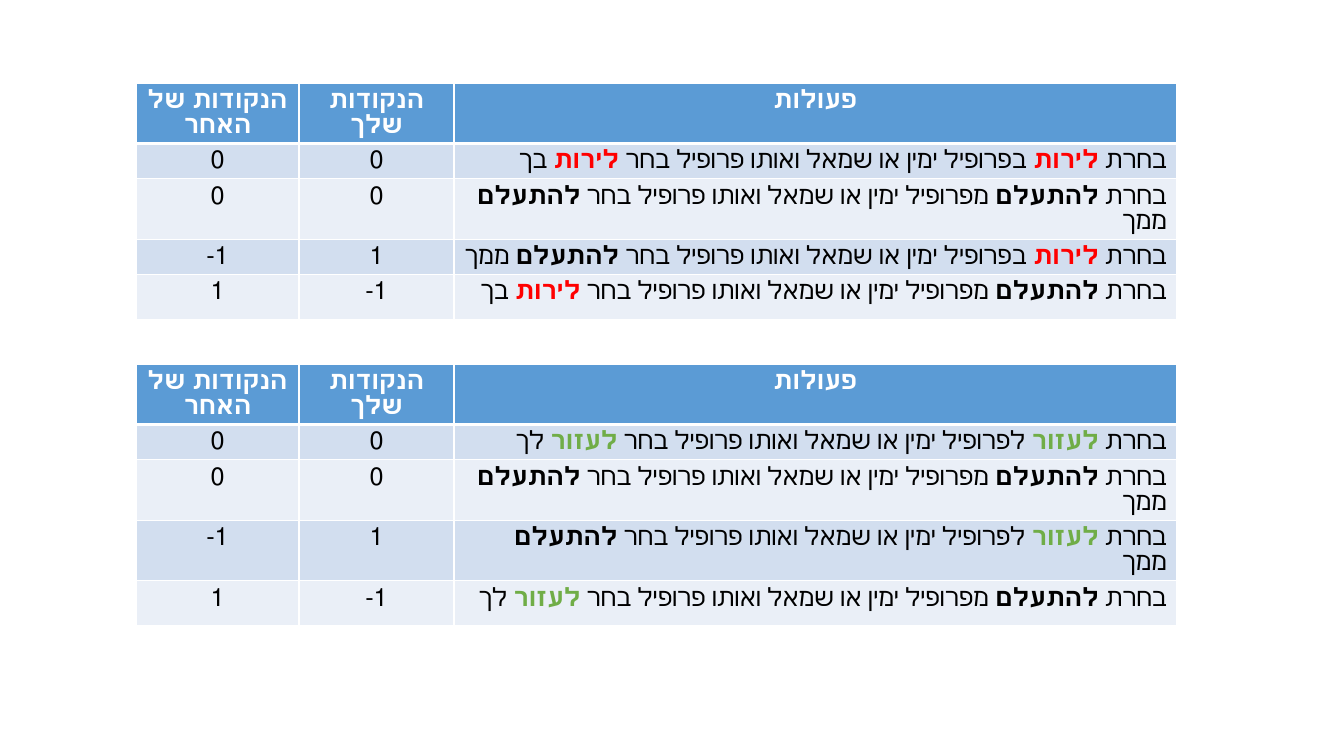
"""Build a slide with two Hebrew tables of actions and the points they earn."""
from dataclasses import dataclass

from lxml import etree
from pptx import Presentation
from pptx.dml.color import RGBColor
from pptx.enum.lang import MSO_LANGUAGE_ID
from pptx.enum.text import PP_ALIGN
from pptx.oxml.ns import qn
from pptx.util import Emu, Pt

CENTER, RIGHT = PP_ALIGN.CENTER, PP_ALIGN.RIGHT
HEBREW = MSO_LANGUAGE_ID.HEBREW
EMU_PER_PIXEL = 914400 / 100.8
SLIDE_SIZE = (1344, 756)
TABLE_LEFT = 136
TABLE_TOPS = (83, 364)
COLUMN_WIDTHS = (163, 155, 723)
ROW_HEIGHTS = (56, 32, 32, 32, 45)
HEADINGS = ("הנקודות של האחר", "הנקודות שלך", "פעולות")


@dataclass(frozen=True)
class Theme:
    font: str = "Calibri"
    size: int = 18
    thin: int = 1
    thick: int = 3
    white: str = "FFFFFF"
    black: str = "000000"
    red: str = "FF0000"
    green: str = "70AD47"
    header: str = "5B9BD5"
    bands: tuple[str, str] = ("D2DEEF", "EAEFF7")


THEME = Theme()


@dataclass(frozen=True)
class Action:
    verb: str
    preposition: str
    target: str
    color: str


@dataclass(frozen=True)
class Outcome:
    yours: Action
    theirs: Action
    other_points: str
    your_points: str


@dataclass(frozen=True)
class Span:
    text: str
    color: str = THEME.black
    bold: bool = False


SHOOT = Action("לירות", "ב", "בך", THEME.red)
HELP = Action("לעזור", "ל", "לך", THEME.green)
IGNORE = Action("להתעלם", "מ", "ממך", THEME.black)


def pixels(count: float) -> Emu:
    """Turn pixels into EMU."""
    return Emu(round(count * EMU_PER_PIXEL))


def list_outcomes(action: Action) -> list[Outcome]:
    """Pair an action with ignoring in all four ways."""
    return [
        Outcome(action, action, "0", "0"),
        Outcome(IGNORE, IGNORE, "0", "0"),
        Outcome(action, IGNORE, "1-", "1"),
        Outcome(IGNORE, action, "1", "1-"),
    ]


def describe(outcome: Outcome) -> list[Span]:
    """Compose the sentence that tells what both sides chose."""
    yours, theirs = outcome.yours, outcome.theirs
    return [
        Span("בחרת "),
        Span(yours.verb, yours.color, True),
        Span(f" {yours.preposition}פרופיל ימין או שמאל ואותו פרופיל בחר "),
        Span(theirs.verb, theirs.color, True),
        Span(f" {theirs.target}"),
    ]


def write_text(cell, spans: list[Span], *, align: PP_ALIGN) -> None:
    """Write formatted right-to-left spans into a cell."""
    para = cell.text_frame.paragraphs[0]
    para.alignment = align
    para.line_spacing = Pt(THEME.size)
    para._p.get_or_add_pPr().set("rtl", "1")
    for span in spans:
        run = para.add_run()
        run.text = span.text
        run.font.name = THEME.font
        run.font.size = Pt(THEME.size)
        run.font.bold = span.bold
        run.font.color.rgb = RGBColor.from_string(span.color)
        run.font.language_id = HEBREW


def paint_cell(cell, *, fill: str, top: int, bottom: int) -> None:
    """Give a cell its white borders and its fill."""
    properties = cell._tc.get_or_add_tcPr()
    for side, width in zip("LRTB", (THEME.thin, THEME.thin, top, bottom)):
        line = etree.SubElement(properties, qn(f"a:ln{side}"), w=str(Pt(width)))
        solid = etree.SubElement(line, qn("a:solidFill"))
        etree.SubElement(solid, qn("a:srgbClr"), val=THEME.white)
    cell.fill.solid()
    cell.fill.fore_color.rgb = RGBColor.from_string(fill)


def add_points_table(page, action: Action, top: int) -> None:
    """Draw the points table of one action."""
    rows = [[[Span(heading, THEME.white, True)] for heading in HEADINGS]]
    for outcome in list_outcomes(action):
        rows.append([[Span(outcome.other_points)], [Span(outcome.your_points)],
                     describe(outcome)])
    table = page.shapes.add_table(
        len(rows), len(HEADINGS), pixels(TABLE_LEFT), pixels(top),
        pixels(sum(COLUMN_WIDTHS)), pixels(sum(ROW_HEIGHTS))).table
    for column, width in zip(table.columns, COLUMN_WIDTHS):
        column.width = pixels(width)
    for index, (height, row) in enumerate(zip(ROW_HEIGHTS, rows)):
        table.rows[index].height = pixels(height)
        is_header = index == 0
        for position, spans in enumerate(row):
            cell = table.cell(index, position)
            is_sentence = not is_header and position == len(row) - 1
            write_text(cell, spans, align=RIGHT if is_sentence else CENTER)
            paint_cell(
                cell,
                fill=THEME.header if is_header else THEME.bands[(index - 1) % 2],
                top=THEME.thick if index == 1 else THEME.thin,
                bottom=THEME.thick if is_header else THEME.thin)


def main() -> None:
    """Build and save the deck."""
    deck = Presentation()
    deck.slide_width, deck.slide_height = map(pixels, SLIDE_SIZE)
    page = deck.slides.add_slide(deck.slide_layouts[6])
    for action, top in zip((SHOOT, HELP), TABLE_TOPS):
        add_points_table(page, action, top)
    deck.save("out.pptx")


main()
